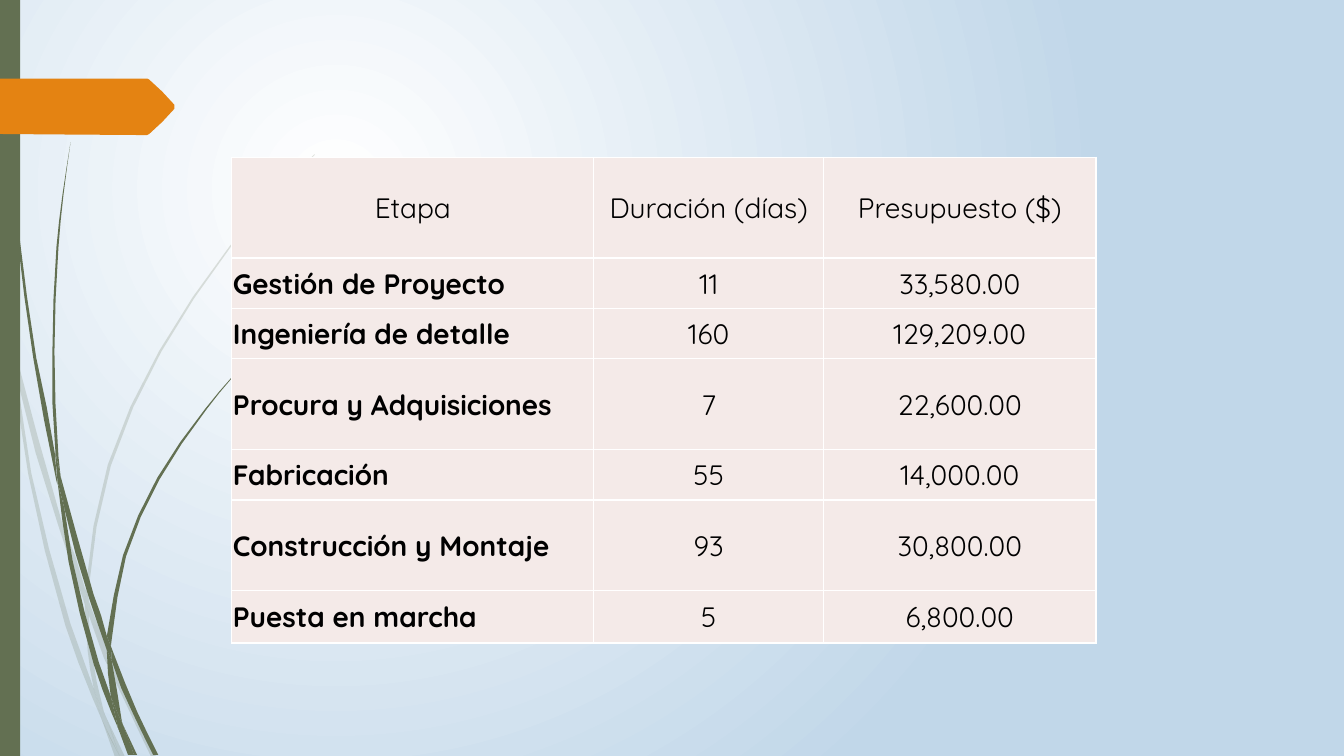
from lxml import etree
from pptx import Presentation, util as u
from pptx.dml.color import RGBColor
from pptx.enum import shapes, text
from pptx.oxml.ns import qn

COLORS = {"moss": "637052", "orange": "E48312", "blush": "F4EAE8", "white": "FFFFFF",
          "sky": "C1D7E9", "ink": "000000"}
CELL = u.Inches(0.01)
WIDTH, HEIGHT = 1333, 750
CORNER_COSINE = 0.9
LONG_EDGE = 30


class Deck:
    font, size = "Quicksand", u.Pt(20)

    def __init__(self):
        self.show = Presentation()
        self.show.slide_width, self.show.slide_height = WIDTH * CELL, HEIGHT * CELL
        self.slide = self.show.slides.add_slide(self.show.slide_layouts[6])

    def color(self, name):
        return RGBColor.from_string(COLORS[name])

    def glow(self, inner, outer, **focus):
        fill = self.slide.background.fill
        fill.gradient()
        for stop, name, position in zip(fill.gradient_stops, (inner, outer), (0, 1)):
            stop.color.rgb, stop.position = self.color(name), position
        gradient = self.slide.element.find(".//" + qn("a:gradFill"))
        gradient.remove(gradient.find(qn("a:lin")))
        circle = etree.SubElement(gradient, qn("a:path"), path="circle")
        etree.SubElement(circle, qn("a:fillToRect"),
                         {side: str(share * 1000) for side, share in focus.items()})

    def paint(self, shape, name, opacity=100):
        shape.shadow.inherit = False
        shape.fill.solid()
        shape.fill.fore_color.rgb = self.color(name)
        shape.line.fill.background()
        if opacity < 100:
            tint = shape.element.spPr.find(".//" + qn("a:srgbClr"))
            etree.SubElement(tint, qn("a:alpha"), val=str(opacity * 1000))

    def bar(self, left, top, width, height, name):
        box = [length * CELL for length in (left, top, width, height)]
        self.paint(self.slide.shapes.add_shape(shapes.MSO_SHAPE.RECTANGLE, *box), name)

    def outline(self, corners, name, opacity=100):
        points = [complex(*map(int, pair.split(","))) for pair in corners.split()]
        curve = [(point.real * CELL, point.imag * CELL) for point in smooth(points)]
        builder = self.slide.shapes.build_freeform(*curve[0], scale=1.0)
        builder.add_line_segments(curve[1:], close=True)
        self.paint(builder.convert_to_shape(), name, opacity)

    def table(self, left, top, widths, heights, rows):
        box = [length * CELL for length in (left, top, sum(widths), sum(heights))]
        grid = self.slide.shapes.add_table(len(rows), len(widths), *box).table
        grid.first_row = grid.horz_banding = False
        for column, width in zip(grid.columns, widths):
            column.width = width * CELL
        for r, (row, height) in enumerate(zip(rows, heights)):
            grid.rows[r].height = height * CELL
            for c, wording in enumerate(row):
                self.table_cell(grid.cell(r, c), wording, is_stage=r > 0 and c == 0)

    def table_cell(self, cell, wording, is_stage):
        cell.margin_left = cell.margin_right = cell.margin_top = CELL
        cell.margin_bottom = 0
        cell.vertical_anchor = text.MSO_ANCHOR.MIDDLE
        paragraph = cell.text_frame.paragraphs[0]
        paragraph.alignment = text.PP_ALIGN.LEFT if is_stage else text.PP_ALIGN.CENTER
        run = paragraph.add_run()
        run.text = wording
        run.font.name, run.font.size, run.font.bold = self.font, self.size, is_stage
        run.font.color.rgb = self.color("ink")
        properties = cell._tc.get_or_add_tcPr()
        for side in ("lnL", "lnR", "lnT", "lnB"):
            border = etree.SubElement(properties, qn("a:" + side), w=str(u.Pt(1)))
            solid = etree.SubElement(border, qn("a:solidFill"))
            etree.SubElement(solid, qn("a:srgbClr"), val=COLORS["white"])
        cell.fill.solid()
        cell.fill.fore_color.rgb = self.color("blush")


def unit(vector):
    return vector / abs(vector)


def smooth(points):
    points = [p for i, p in enumerate(points) if p != points[i - 1]]
    count = len(points)
    edges = [points[(i + 1) % count] - points[i] for i in range(count)]

    def heading(vertex, edge):
        before, after = unit(edges[vertex - 1]), unit(edges[vertex % count])
        is_corner = (before * after.conjugate()).real < CORNER_COSINE
        return edge if is_corner else unit(before + after) * abs(edge)

    curve = []
    for i, (start, edge) in enumerate(zip(points, edges)):
        curve.append(start)
        if abs(edge) > LONG_EDGE:
            bulge = (heading(i, edge) - heading(i + 1, edge)) / 8
            curve.append(start + edge / 2 + bulge)
    return curve


PALE_GRASS = [
    "11,350 9,322 0,282 0,299 10,344",
    "58,522 84,599 85,586 62,520 14,345 17,376",
    "92,607 88,596 88,610 123,694 150,751 155,751 127,692",
    "119,751 124,751 105,711",
    "93,683 70,619 31,469 17,376 11,350 28,470 65,621 92,693 101,714 99,707",
    "84,599 87,646 93,683 96,692 105,711 103,706 91,646 88,610 88,608",
    "88,584 110,462 160,349 229,245 268,198 290,175 312,154 312,153 289,175 268,197 "
    "228,244 158,348 107,461 85,584 85,586 88,596",
    "101,714 114,751 119,751",
    "88,608 88,610 88,596 85,586 84,599",
    "96,692 93,683 99,707 101,714 119,751 105,711",
]
DARK_GRASS = [
    "7,110 17,233 33,355 56,477 57,481 55,457 55,453 36,355 19,232 8,109 5,48 4,0 3,0 4,48",
    "88,592 106,645 106,633 106,631 93,590 60,472 64,505",
    "113,649 110,641 111,656 132,708 152,749 157,749 136,706",
    "110,691 98,657 72,556 64,505 57,477 68,557 93,659 111,708 117,722 116,717",
    "60,472 58,453 54,349 58,245 63,193 70,141 62,193 56,245 52,349 55,449",
    "133,749 136,749 122,719",
    "57,477 64,505 60,472 55,449 55,453",
    "111,633 125,552 158,476 205,406 231,374 245,359 261,344 260,344 245,358 231,373 "
    "204,405 156,474 122,551 106,631 110,641",
    "117,722 127,749 131,749",
    "106,645 110,691 116,706 122,719 121,716 111,656 109,651",
    "106,645 109,651 111,656 110,641 106,631 106,633",
    "116,706 110,691 116,717 117,722 130,749 133,749 122,719",
]
ARROW = "173,108 148,133 146,134 136,134 0,133 0,78 136,78 146,78 148,79 173,104"
STAGES = [
    ("Etapa", "Duración (días)", "Presupuesto ($)"),
    ("Gestión de Proyecto", "11", "33,580.00"),
    ("Ingeniería de detalle", "160", "129,209.00"),
    ("Procura y Adquisiciones", "7", "22,600.00"),
    ("Fabricación", "55", "14,000.00"),
    ("Construcción y Montaje", "93", "30,800.00"),
    ("Puesta en marcha", "5", "6,800.00"),
]

deck = Deck()
deck.glow("white", "sky", l=50, t=50, r=100, b=100)
for blades, opacity in ((PALE_GRASS, 20), (DARK_GRASS, 100)):
    for blade in blades:
        deck.outline(blade, "moss", opacity)
deck.bar(0, 0, 20, HEIGHT, "moss")
deck.outline(ARROW, "orange")
deck.table(230, 156, (359, 228, 270), (100, 50, 50, 90, 50, 90, 52), STAGES)
deck.show.save("out.pptx")
